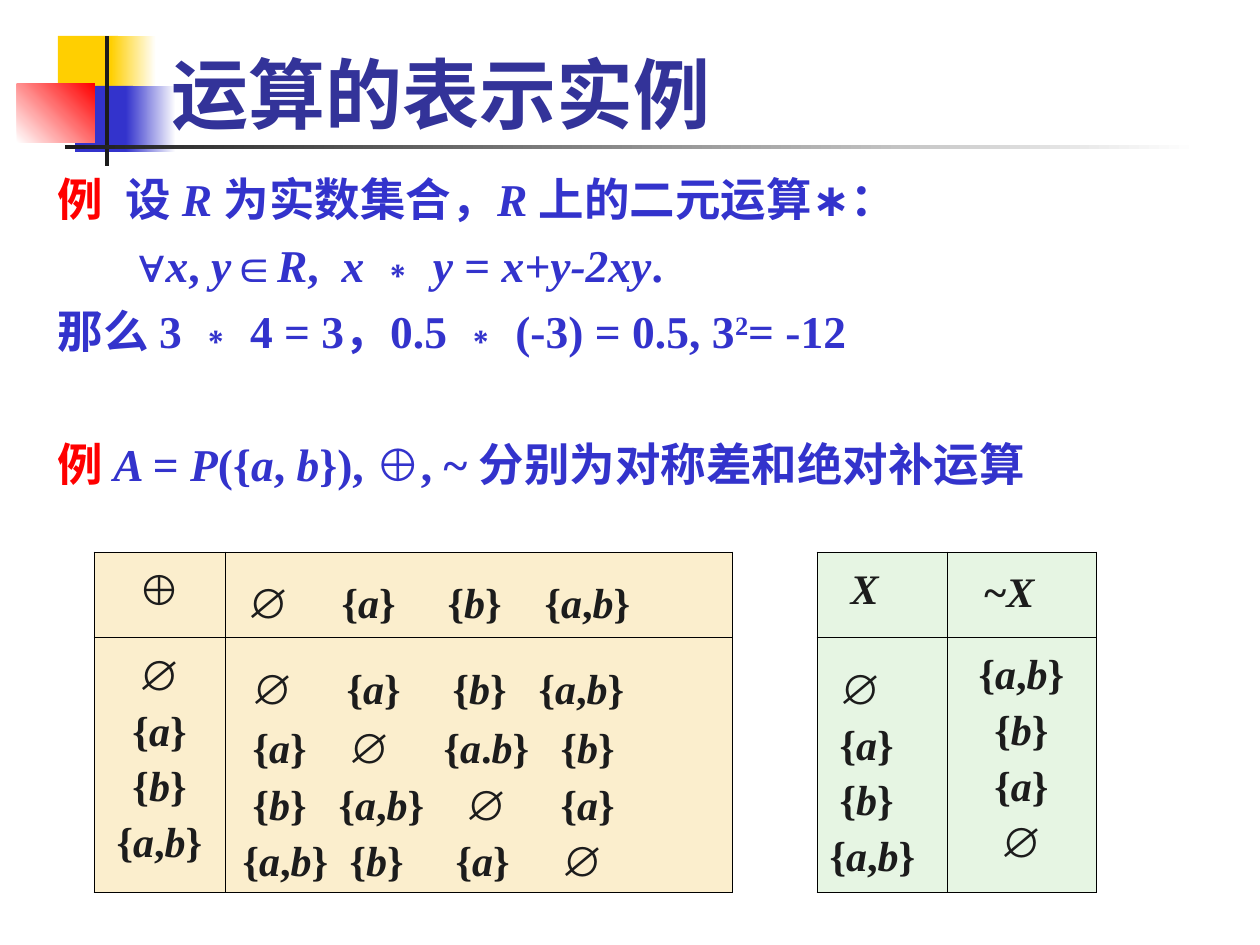
from itertools import groupby

from lxml.etree import SubElement
from pptx import Presentation
from pptx.dml.color import RGBColor
from pptx.enum.shapes import MSO_SHAPE as Preset
from pptx.enum.text import MSO_ANCHOR as Anchor, MSO_AUTO_SIZE as AutoSize, PP_ALIGN as Align
from pptx.oxml import parse_xml
from pptx.oxml.ns import nsdecls, qn
from pptx.util import Pt

PX = 914400 // 126
COLORS = {
    "yellow": "FFCF01", "blue": "3333CC", "red": "FF0000", "white": "FFFFFF",
    "ink": "1C1C1C", "title": "333399", "cream": "FBEECD", "mint": "E6F5E3",
    "border": "000000",
}
SERIF, SYMBOL, CJK = "Times New Roman", "Arial", "Noto Sans CJK SC"
EN_SPACE = chr(0x2002)

# Content. In markup, _..._ is italic, ^...^ superscript and !...! red.
TITLE = "运算的表示实例"
BODY = [  # markup, left indent in px, space before in pt
    (f"!例{EN_SPACE}!设 _R _为实数集合，_R _上的二元运算∗：", 0, 6.5),
    (f"∀_x_, _y_∈_R_,{EN_SPACE}_x _∗ _y _= _x+y-2xy_.", 81, 6.5),
    ("那么 3 ∗ 4 = 3，0.5 ∗ (-3) = 0.5, 3^2^= -12", 0, 6.5),
    ("!例 !_A _= _P_({_a_, _b_}), ⊕, ~ 分别为对称差和绝对补运算", 0, 44.4),
]

EMPTY, A, B, AB = "∅", "{_a_}", "{_b_}", "{_a_,_b_}"
# Each cell: fill, extra top margin in px, lines of (items, positions in px).
# Lines without positions are centred.
CELLS = {
    (0, 0): ("cream", 0, [(["⊕"], None)]),
    (0, 1): ("cream", 0, [([EMPTY, A, B, AB], [10, 104, 210, 307])]),
    (0, 3): ("mint", 0, [(["_X_"], [21])]),
    (0, 4): ("mint", 3, [(["~_X_"], [25])]),
    (1, 0): ("cream", 0, [([item], None) for item in (EMPTY, A, B, AB)]),
    (1, 1): ("cream", 0, [
        ([EMPTY, A, B, AB], [14, 109, 215, 301]),
        ([A, EMPTY, "{_a_._b_}", B], [15, 111, 206, 323]),
        ([B, AB, EMPTY, A], [15, 101, 228, 323]),
        ([AB, B, A, EMPTY], [5, 112, 218, 324]),
    ]),
    (1, 3): ("mint", 14, [([EMPTY], [10]), ([A], [10]), ([B], [10]), ([AB], [0])]),
    (1, 4): ("mint", 0, [([item], None) for item in (AB, B, A, EMPTY)]),
}
GAP_COLUMN = 2
COLUMN_WIDTHS = [131, 507, 85, 130, 149]
ROW_HEIGHTS = [84, 255]
TABLE_LEFT, TABLE_TOP = 94, 552
CELL_MARGIN = 6

DECOR = [  # left, top, width, height, colours from first to last, angle
    (58, 36, 60, 66, ["yellow"], 0),
    (111, 36, 45, 66, ["yellow", "white"], 0),
    (75, 86, 58, 66, ["blue"], 0),
    (126, 86, 50, 66, ["blue", "white"], 0),
    (17, 84, 78, 59, ["white", "red"], 45),
    (105, 36, 4, 130, ["ink"], 0),
    (65, 145, 1134, 4, ["ink", "white"], 0),
]


def rgb(name):
    return RGBColor.from_string(COLORS[name])


def place(shape, left, top, width, height):
    shape.left, shape.top = left * PX, top * PX
    shape.width, shape.height = width * PX, height * PX


def styled_runs(markup):
    """Yield (text, font kind, active marks) for each run of the markup."""
    marks, characters = frozenset(), []
    for character in markup:
        if character in "_^!":
            marks = marks ^ {character}
        else:
            kind = "symbol" if character in "∀⊕∅" else "tab" if character == "\t" else "text"
            characters.append((character, kind, marks))
    for (kind, active), group in groupby(characters, key=lambda item: item[1:]):
        yield "".join(item[0] for item in group), kind, active


def write(paragraph, markup, size, color, tab_font=SERIF):
    fonts = {"text": SERIF, "symbol": SYMBOL, "tab": tab_font}
    for text, kind, marks in styled_runs(markup):
        run = paragraph.add_run()
        run.text = text
        font = run.font
        font.size, font.bold, font.italic = Pt(size), True, "_" in marks
        font.name = fonts[kind]
        font.color.rgb = rgb("red" if "!" in marks else color)
        SubElement(font._element, qn("a:ea"), typeface=CJK)
        if "^" in marks:
            font._element.set("baseline", "30000")


def set_tabs(paragraph, stops):
    tabs = SubElement(paragraph._p.get_or_add_pPr(), qn("a:tabLst"))
    for stop in stops:
        SubElement(tabs, qn("a:tab"), pos=str(stop * PX), algn="l")


def set_borders(cell, visible):
    properties = cell._tc.get_or_add_tcPr()
    for index, side in enumerate("LRTB"):
        paint = (f'<a:solidFill><a:srgbClr val="{COLORS["border"]}"/></a:solidFill>'
                 if side in visible else "<a:noFill/>")
        line = parse_xml(f'<a:ln{side} {nsdecls("a")} w="5715">{paint}</a:ln{side}>')
        properties.insert(index, line)


presentation = Presentation()
presentation.slide_width, presentation.slide_height = 1260 * PX, 945 * PX
slide = presentation.slides.add_slide(presentation.slide_layouts[1])
title, body = slide.placeholders

# Corner blocks and rules
for left, top, width, height, colors, angle in DECOR:
    block = slide.shapes.add_shape(Preset.RECTANGLE, left * PX, top * PX, width * PX, height * PX)
    block.shadow.inherit = False
    block.line.fill.background()
    if len(colors) == 1:
        block.fill.solid()
        block.fill.fore_color.rgb = rgb(colors[0])
    else:
        block.fill.gradient()
        block.fill.gradient_angle = angle
        for stop, color in zip(block.fill.gradient_stops, colors):
            stop.color.rgb = rgb(color)

# Title and body, in front of the blocks
for placeholder in (title, body):
    placeholder.element.getparent().append(placeholder.element)
    placeholder.text_frame.auto_size = AutoSize.NONE
place(title, 159, 10, 1074, 135)
title.text_frame.text = TITLE
title.text_frame.vertical_anchor = Anchor.BOTTOM
heading = title.text_frame.paragraphs[0]
heading.alignment = Align.LEFT
heading_font = heading.runs[0].font
heading_font.name, heading_font.size, heading_font.bold = "Karla", Pt(44), True
heading_font.color.rgb = rgb("title")

place(body, 45, 164, 1171, 753)
for index, (markup, indent, space) in enumerate(BODY):
    frame = body.text_frame
    paragraph = frame.add_paragraph() if index else frame.paragraphs[0]
    paragraph.space_before = Pt(space)
    paragraph.line_spacing = Pt(31.4)
    properties = paragraph._p.get_or_add_pPr()
    properties.set("marL", str(indent * PX))
    properties.set("indent", "0")
    SubElement(properties, qn("a:buNone"))
    write(paragraph, markup, 26, "blue")

# Operation tables, side by side in one grid
table = slide.shapes.add_table(
    len(ROW_HEIGHTS), len(COLUMN_WIDTHS), TABLE_LEFT * PX, TABLE_TOP * PX,
    sum(COLUMN_WIDTHS) * PX, sum(ROW_HEIGHTS) * PX).table
table.first_row = table.horz_banding = False
for column, width in zip(table.columns, COLUMN_WIDTHS):
    column.width = width * PX
for row, height in zip(table.rows, ROW_HEIGHTS):
    row.height = height * PX

table.cell(0, GAP_COLUMN).merge(table.cell(1, GAP_COLUMN))
for row in range(len(ROW_HEIGHTS)):
    gap = table.cell(row, GAP_COLUMN)
    gap.fill.background()
    set_borders(gap, "LR")

for (row, column), (fill, drop, lines) in CELLS.items():
    cell = table.cell(row, column)
    cell.fill.solid()
    cell.fill.fore_color.rgb = rgb(fill)
    cell.margin_top = (CELL_MARGIN + drop) * PX
    set_borders(cell, "LRTB")
    for index, (items, positions) in enumerate(lines):
        frame = cell.text_frame
        paragraph = frame.add_paragraph() if index else frame.paragraphs[0]
        paragraph.alignment = Align.LEFT if positions else Align.CENTER
        paragraph.line_spacing = 1.2
        markup = items[0]
        if len(items) > 1:
            set_tabs(paragraph, positions)
            markup = "".join("\t" + item for item in items)
        elif positions:
            paragraph._p.get_or_add_pPr().set("marL", str(positions[0] * PX))
        write(paragraph, markup, 24, "ink", SERIF if index else CJK)

presentation.save("out.pptx")
